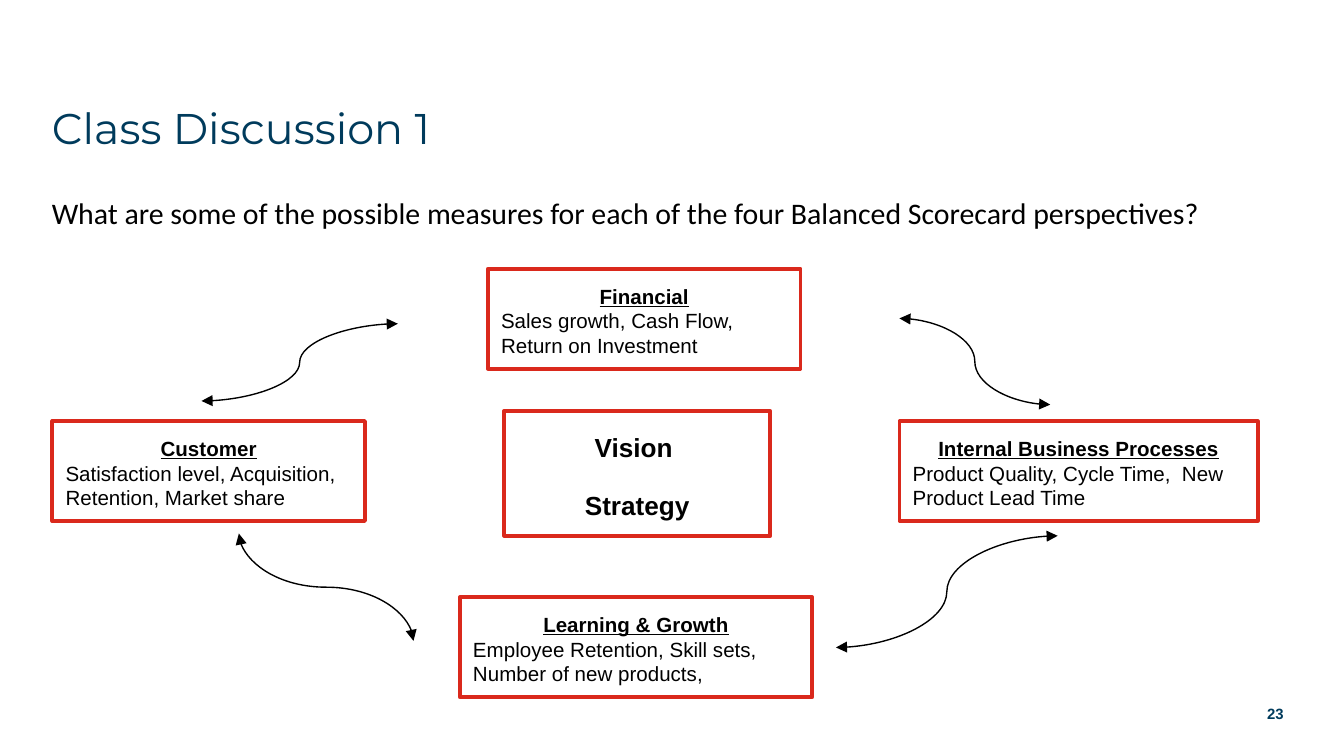
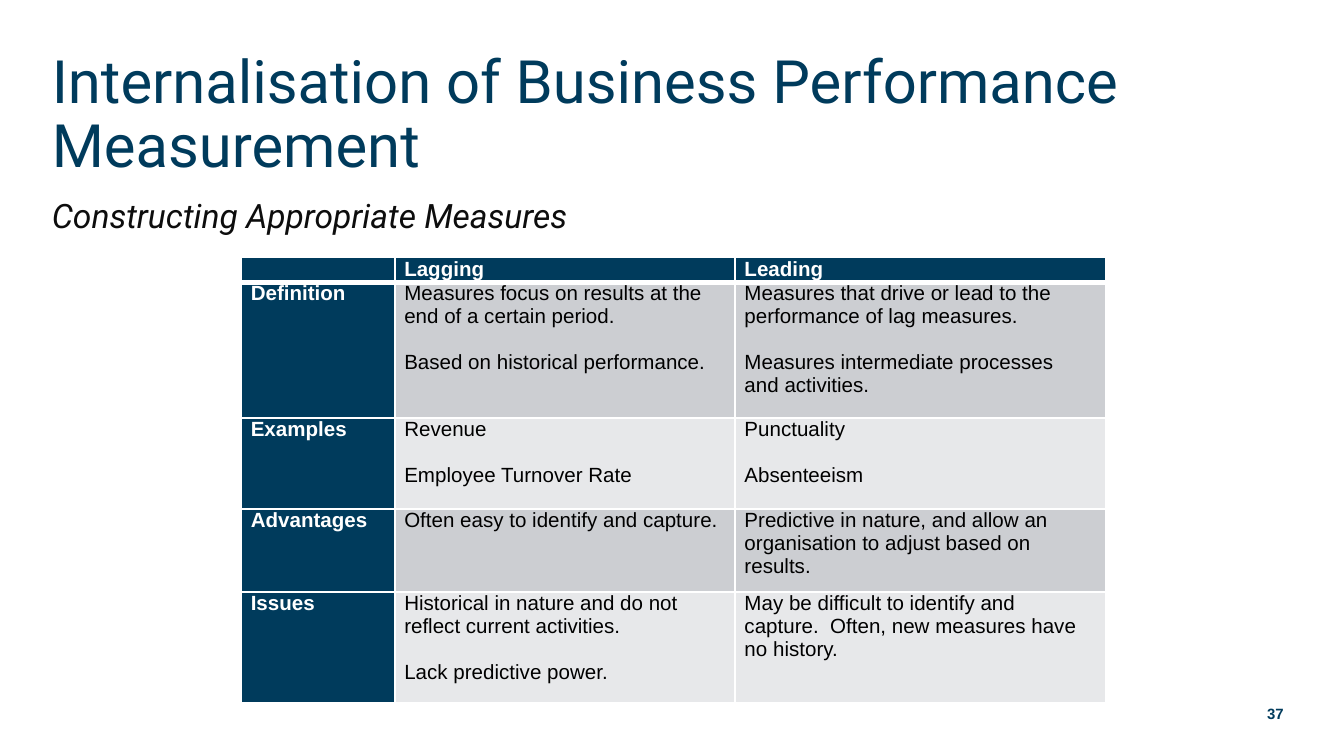
"""Build two slides on balanced scorecard perspectives and lagging or leading measures."""
from dataclasses import dataclass

from lxml import etree
from pptx import Presentation
from pptx.dml.color import RGBColor
from pptx.enum.shapes import MSO_CONNECTOR, MSO_SHAPE
from pptx.enum.text import MSO_ANCHOR, PP_ALIGN
from pptx.oxml.ns import qn
from pptx.util import Cm, Pt

CURVE = MSO_CONNECTOR.CURVE
RECT = MSO_SHAPE.RECTANGLE
TOP, MIDDLE, BOTTOM = MSO_ANCHOR.TOP, MSO_ANCHOR.MIDDLE, MSO_ANCHOR.BOTTOM
LEFT, CENTER, RIGHT = PP_ALIGN.LEFT, PP_ALIGN.CENTER, PP_ALIGN.RIGHT


@dataclass(frozen=True)
class Theme:
    navy: str = "003B5C"
    red: str = "DA291C"
    black: str = "000000"
    soft_black: str = "0D0D0D"
    white: str = "FFFFFF"
    band_dark: str = "CCCED2"
    band_light: str = "E7E8EA"
    font: str = "Arial"
    number: int = 8
    text: int = 11
    core: int = 14


T = Theme()


def add_run(p, text, size, color, font=T.font, bold=False, italic=False, underline=False):
    r = p.add_run()
    r.text = text
    f = r.font
    f.size, f.name = Pt(size), font
    f.bold, f.italic, f.underline = bold, italic, underline
    f.color.rgb = RGBColor.from_string(color)


def add_text(s, box, anchor, align, text, size, color, **style):
    tf = s.shapes.add_textbox(*map(Cm, box)).text_frame
    tf.word_wrap = True
    tf.vertical_anchor = anchor
    p = tf.paragraphs[0]
    p.alignment = align
    add_run(p, text, size, color, **style)
    return p


prs = Presentation()
prs.slide_width, prs.slide_height = Cm(25.4), Cm(14.29)

heads = [
    ("23", ("Class Discussion 1", 23, "Montserrat", MIDDLE, 1.0),
     ("What are some of the possible measures for each of the four "
      "Balanced Scorecard perspectives?", 16, T.black, "Calibri", False)),
    ("37", ("Internalisation of Business Performance Measurement", 32, "Roboto", BOTTOM, 0.9),
     ("Constructing Appropriate Measures", 18, T.soft_black, "Roboto", True)),
]
slides = []
for number, (title, size, font, anchor, spacing), (sub, sub_size, color, sub_font, italic) in heads:
    s = prs.slides.add_slide(prs.slide_layouts[6])
    add_text(s, (19.05, 13.11, 5.46, 0.76), MIDDLE, RIGHT, number, T.number, T.navy, bold=True)
    p = add_text(s, (0.73, 1.26, 23.8, 2.28), anchor, LEFT, title, size, T.navy, font=font)
    p.line_spacing = spacing
    add_text(s, (0.73, 3.56, 23.8, 1.14), TOP, LEFT, sub, sub_size, color,
             font=sub_font, italic=italic)
    slides.append(s)
discussion, measures = slides

perspectives = [
    (9.22, 5.08, 5.91, "Financial", "Sales growth, Cash Flow, Return on Investment"),
    (0.99, 7.96, 5.91, "Customer", "Satisfaction level, Acquisition, Retention, Market share"),
    (17.0, 7.96, 6.77, "Internal Business Processes",
     "Product Quality, Cycle Time,  New Product Lead Time"),
    (8.69, 11.29, 6.66, "Learning & Growth",
     "Employee Retention, Skill sets, Number of new products,"),
]
heading = dict(size=T.text, bold=True, underline=True)
detail = dict(size=T.text)
core = dict(size=T.core, bold=True)
boxes = [((x, y, w, 1.89), [(name, CENTER, 1.15, 0, heading), (text, LEFT, 1.0, 0, detail)])
         for x, y, w, name, text in perspectives]
boxes.append(((9.53, 7.77, 5.03, 2.36),
              [("Vision ", CENTER, 1.15, 0, core), ("Strategy", CENTER, 1.15, 12, core)]))

for box, lines in boxes:
    sp = discussion.shapes.add_shape(RECT, *map(Cm, box))
    sp.shadow.inherit = False
    sp.fill.solid()
    sp.fill.fore_color.rgb = RGBColor.from_string(T.white)
    sp.line.color.rgb = RGBColor.from_string(T.red)
    sp.line.width = Pt(2)
    tf = sp.text_frame
    tf.word_wrap = True
    tf.vertical_anchor = MIDDLE
    for i, (text, align, spacing, before, style) in enumerate(lines):
        p = tf.add_paragraph() if i else tf.paragraphs[0]
        p.alignment, p.line_spacing, p.space_before = align, spacing, Pt(before)
        add_run(p, text, color=T.black, **style)

arrows = [
    ((7.52, 6.12, 3.81, 7.58), 0),
    ((7.18, 9.45, 5.15, 12.75), 270),
    ((15.8, 12.24, 19.99, 10.13), 0),
    ((19.85, 7.65, 17.0, 6.02), 0),
]
for ends, turn in arrows:
    c = discussion.shapes.add_connector(CURVE, *map(Cm, ends))
    c.line.color.rgb = RGBColor.from_string(T.black)
    c.line.width = Pt(0.75)
    spPr = c._element.spPr
    if turn:
        spPr.find(qn("a:xfrm")).set("rot", str(turn * 60000))
    for end in ("a:headEnd", "a:tailEnd"):
        etree.SubElement(spPr.find(qn("a:ln")), qn(end), type="triangle")
    etree.SubElement(spPr, qn("a:effectLst"))

rows = [
    (0.42, [[""], ["Lagging"], ["Leading"]]),
    (2.56, [["Definition"],
            ["Measures focus on results at the end of a certain period.",
             "Based on historical performance."],
            ["Measures that drive or lead to the performance of lag measures.",
             "Measures intermediate processes and activities."]]),
    (1.72, [["Examples"], ["Revenue", "Employee Turnover Rate"], ["Punctuality", "Absenteeism"]]),
    (1.57, [["Advantages"], ["Often easy to identify and capture."],
            ["Predictive in nature, and allow an organisation to adjust based on results."]]),
    (2.09, [["Issues"],
            ["Historical in nature and do not reflect current activities.",
             "Lack predictive power."],
            ["May be difficult to identify and capture.  Often, new measures have no history."]]),
]
widths = [2.9, 6.43, 7.0]
height = sum(h for h, _ in rows)
table = measures.shapes.add_table(len(rows), len(widths), Cm(4.56), Cm(4.87),
                                  Cm(sum(widths)), Cm(height)).table
for col, width in zip(table.columns, widths):
    col.width = Cm(width)
for i, (row_height, texts) in enumerate(rows):
    table.rows[i].height = Cm(row_height)
    for j, paragraphs in enumerate(texts):
        cell = table.cell(i, j)
        is_head = i == 0 or j == 0
        fill = T.navy if is_head else T.band_dark if i % 2 else T.band_light
        cell.fill.solid()
        cell.fill.fore_color.rgb = RGBColor.from_string(fill)
        cell.margin_left, cell.margin_right = Cm(0.18), Cm(0.22)
        cell.margin_top = cell.margin_bottom = 0
        for k, text in enumerate(paragraphs):
            p = cell.text_frame.paragraphs[0] if k == 0 else cell.text_frame.add_paragraph()
            p.space_before = Pt(12.4 if k else 0)
            if text:
                add_run(p, text, T.text, T.white if is_head else T.black, bold=is_head)
            else:
                etree.SubElement(p._p, qn("a:endParaRPr"), sz=str(T.text * 100))
        tcPr = cell._tc.get_or_add_tcPr()
        for k, side in enumerate(("a:lnL", "a:lnR", "a:lnT", "a:lnB")):
            thick = (i, side) in ((0, "a:lnB"), (1, "a:lnT"))
            ln = etree.Element(qn(side), w=str(Pt(3 if thick else 1)))
            solid = etree.SubElement(ln, qn("a:solidFill"))
            etree.SubElement(solid, qn("a:srgbClr"), val=T.white)
            tcPr.insert(k, ln)

prs.save("out.pptx")
